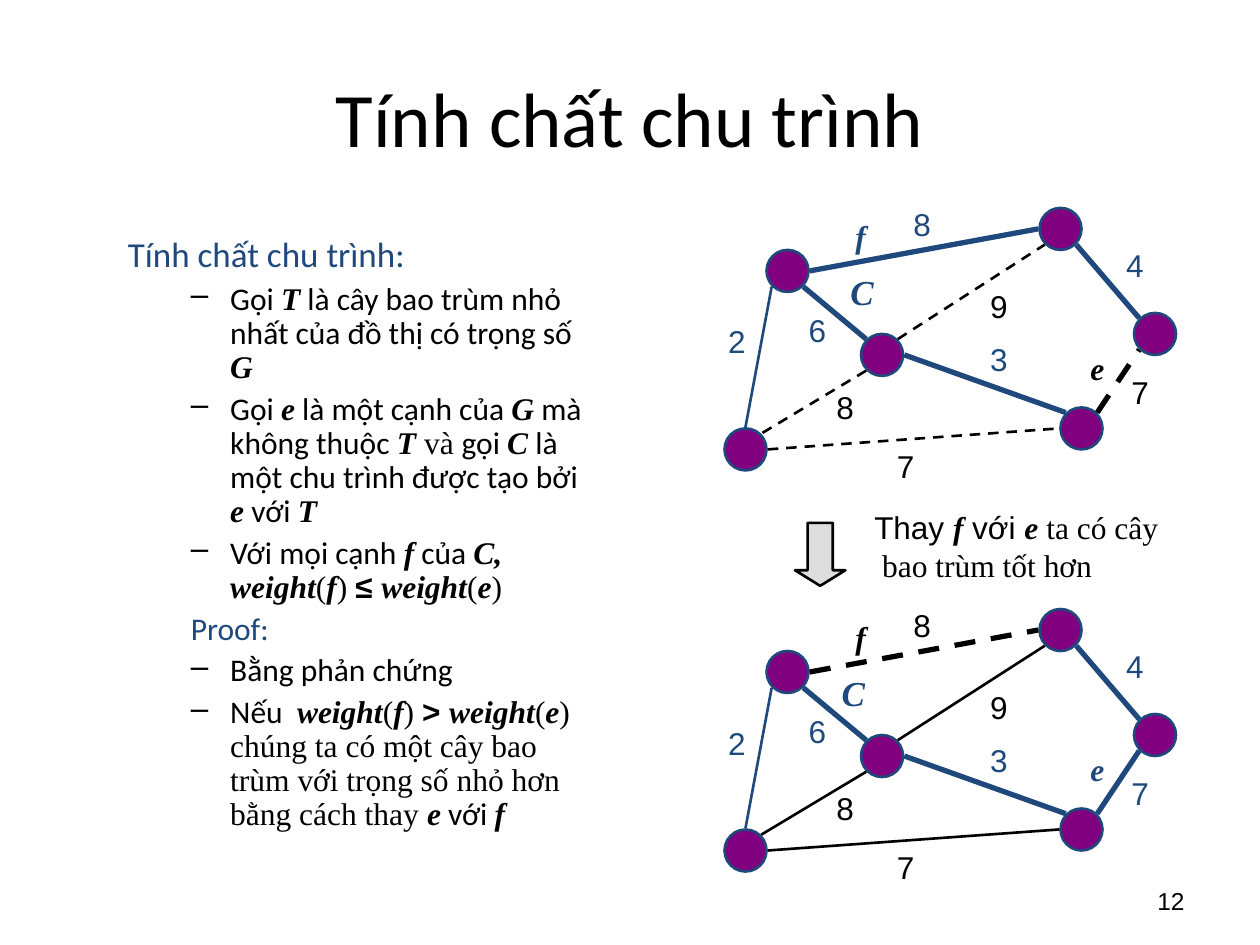
from math import copysign, hypot

from lxml.etree import SubElement
from pptx import Presentation
from pptx.dml.color import RGBColor
from pptx.enum.dml import MSO_LINE
from pptx.enum.shapes import MSO_CONNECTOR, MSO_SHAPE
from pptx.enum.text import MSO_ANCHOR, MSO_AUTO_SIZE, PP_ALIGN
from pptx.oxml.ns import qn
from pptx.util import Pt

BLACK = RGBColor(0x00, 0x00, 0x00)
BLUE = RGBColor(0x1F, 0x49, 0x7D)
PURPLE = RGBColor(0x80, 0x00, 0x80)
GREY = RGBColor(0xDD, 0xDD, 0xDD)

BODY = dict(font="Calibri")
SANS = dict(font="Arial")
ROMAN = dict(font="Times New Roman")
SYMBOL = dict(font="Arial", bold=True)
VARIABLE = dict(font="Times New Roman", bold=True, italic=True)

NODE_SIZE = 24
SITE_RADIUS = 12.75
NODES = {
    "a": (450, 154.8), "b": (606, 130.8), "c": (504, 202.8),
    "d": (426, 256.8), "e": (660, 190.8), "f": (618, 244.8),
}
SIDES = {"E": (1, 0), "W": (-1, 0), "N": (0, -1),
         "NE": (1, -1), "NW": (-1, -1), "SE": (1, 1), "SW": (-1, 1)}
EDGES = {
    "ac": ("SE", "NW", 3, "6", 455, 174.2),
    "cd": ("SW", "NE", 1.5, "8", 470.9, 218.2),
    "ad": ("SW", "N", 1.5, "2", 409, 180.7),
    "cf": ("E", "NW", 3, "3", 558.7, 190.8),
    "df": ("E", "W", 1.5, "7", 505.4, 252),
    "ab": ("E", "W", 3, "8", 514.8, 113.8),
    "cb": ("NE", "SW", 1.5, "9", 558.7, 160.6),
    "eb": ("NW", "SE", 3, "4", 636.5, 136.8),
    "fe": ("NE", "SW", 3, "7", 639.4, 209.5),
}
WEIGHT_F = [("weight", VARIABLE), ("(", ROMAN), ("f", VARIABLE), (") ", ROMAN)]
WEIGHT_E = [("weight", VARIABLE), ("(", ROMAN), ("e", VARIABLE)]
BULLETS = [
    [("Gọi ", BODY), ("T", VARIABLE),
     (" là cây bao trùm nhỏ nhất của đồ thị có trọng số ", BODY), ("G", VARIABLE)],
    [("Gọi ", BODY), ("e", VARIABLE), (" là một cạnh của ", BODY), ("G", VARIABLE),
     (" mà không thuộc ", BODY), ("T ", VARIABLE), ("và ", ROMAN), ("gọi ", BODY),
     ("C", VARIABLE), (" là một chu trình được tạo bởi ", BODY), ("e", VARIABLE),
     (" với ", BODY), ("T", VARIABLE)],
    [("Với mọi cạnh ", BODY), ("f", VARIABLE), (" của ", BODY), ("C, ", VARIABLE),
     *WEIGHT_F, ("≤ ", SYMBOL), *WEIGHT_E, (")", ROMAN)],
]
PROOF_BULLETS = [
    [("Bằng phản chứng", BODY)],
    [("Nếu  ", BODY), *WEIGHT_F, ("> ", SYMBOL), *WEIGHT_E,
     (") chúng ta có một cây bao trùm với trọng số nhỏ hơn bằng cách thay ", ROMAN),
     ("e", VARIABLE), (" với ", BODY), ("f", VARIABLE)],
]


def add_span(para, text, font="Arial", size=18, color=BLACK, bold=False, italic=False):
    """Append one formatted run to a paragraph."""
    span = para.add_run()
    span.text = text
    span.font.name = font
    span.font.size = Pt(size)
    span.font.color.rgb = color
    span.font.bold = bold
    span.font.italic = italic


def add_box(shapes, left, top, width, height, wrap=True, anchor=MSO_ANCHOR.TOP):
    """Add an empty text box and return its text frame."""
    frame = shapes.add_textbox(Pt(left), Pt(top), Pt(width), Pt(height)).text_frame
    frame.word_wrap = wrap
    frame.auto_size = MSO_AUTO_SIZE.NONE
    frame.vertical_anchor = anchor
    return frame


def add_line_of_text(shapes, text, left, top, width, height, align=PP_ALIGN.LEFT,
                     anchor=MSO_ANCHOR.TOP, wrap=True, **style):
    """Add a text box that holds a single run."""
    para = add_box(shapes, left, top, width, height, wrap, anchor).paragraphs[0]
    para.alignment = align
    add_span(para, text, **style)


def add_item(para, spans, margin=58.5, indent=-22.5, before=4.5, bullet=True, **style):
    """Fill a body paragraph with runs, indents and an optional dash bullet."""
    para.line_spacing = 0.9
    para.space_before = Pt(before)
    properties = para._p.get_or_add_pPr()
    properties.set("marL", str(Pt(margin)))
    properties.set("indent", str(Pt(indent)))
    if bullet:
        color = SubElement(properties, qn("a:buClr"))
        SubElement(color, qn("a:srgbClr"), val=str(BLACK))
        SubElement(properties, qn("a:buChar"), char="–")
    for text, format_ in spans:
        add_span(para, text, **format_, **style)


def add_body(shapes):
    """Add the cycle property and its proof."""
    frame = add_box(shapes, 66, 132, 282, 366)
    add_item(frame.paragraphs[0], [("Tính chất chu trình:", BODY)], margin=27,
             indent=-27, before=5, bullet=False, size=20, color=BLUE)
    for spans in BULLETS:
        add_item(frame.add_paragraph(), spans)
    add_item(frame.add_paragraph(), [("Proof:", BODY)], bullet=False, color=BLUE)
    for spans in PROOF_BULLETS:
        add_item(frame.add_paragraph(), spans)


def add_preset(shapes, preset, left, top, width, height, fill, line):
    """Add a flat preset shape with a thin outline."""
    shape = shapes.add_shape(preset, Pt(left), Pt(top), Pt(width), Pt(height))
    shape.shadow.inherit = False
    shape.fill.solid()
    shape.fill.fore_color.rgb = fill
    shape.line.color.rgb = line
    shape.line.width = Pt(1.5)
    return shape


def node_site(node, side, shift):
    """Return the point just outside a node on the given side."""
    x, y = NODES[node]
    across, down = SIDES[side]
    reach = SITE_RADIUS / hypot(across, down)
    return Pt(x + reach * across), Pt(y + shift + reach * down)


def add_edge(shapes, start, end, width, color, dashed):
    """Draw a straight edge between two points."""
    edge = shapes.add_connector(MSO_CONNECTOR.STRAIGHT, *start, *end)
    edge.line.color.rgb = color
    edge.line.width = Pt(width)
    if dashed:
        edge.line.dash_style = MSO_LINE.DASH
    SubElement(edge._element.spPr, qn("a:effectLst"))


def add_graph(page, shift, tree, dashed, cycle_left):
    """Draw the weighted graph with its spanning tree in blue."""
    shapes = page.shapes.add_group_shape().shapes
    colors = {name: BLUE if name in tree else BLACK for name in EDGES}
    for x, y in NODES.values():
        add_preset(shapes, MSO_SHAPE.OVAL, x - NODE_SIZE / 2, y + shift - NODE_SIZE / 2,
                   NODE_SIZE, NODE_SIZE, PURPLE, BLUE)
    for name, (leave, arrive, width, weight, left, top) in EDGES.items():
        add_edge(shapes, node_site(name[0], leave, shift), node_site(name[1], arrive, shift),
                 width, colors[name], name in dashed)
        add_line_of_text(shapes, weight, left, top + shift, 24.5, 29, wrap=False,
                         color=colors[name])
    add_line_of_text(shapes, "e", 616, 196 + shift, 22.3, 29, wrap=False,
                     color=colors["fe"], **VARIABLE)
    add_line_of_text(shapes, "C", cycle_left, 150.8 + shift, 33.8, 31.5, size=20,
                     color=BLUE, **VARIABLE)
    add_line_of_text(shapes, "f", 481.7, 120.5 + shift, 23.8, 29,
                     color=colors["ab"], **VARIABLE)


def add_exchange(shapes):
    """Add the arrow between the graphs and its explanation."""
    arrow = add_preset(shapes, MSO_SHAPE.DOWN_ARROW, 454.3, 298.8, 28.8, 36, GREY, BLACK)
    arrow.adjustments[0] = 0.5
    arrow.adjustments[1] = 0.31
    frame = add_box(shapes, 492.5, 286.6, 176.4, 50.4, wrap=False)
    for text, style in [("Thay ", SANS), ("f", VARIABLE), (" với ", SANS),
                        ("e ", VARIABLE), ("ta có cây", ROMAN)]:
        add_span(frame.paragraphs[0], text, **style)
    add_span(frame.add_paragraph(), " bao trùm tốt hơn", **ROMAN)


def main():
    """Build the slide and save the deck."""
    deck = Presentation()
    deck.slide_width, deck.slide_height = Pt(720), Pt(540)
    page = deck.slides.add_slide(deck.slide_layouts[6])
    add_line_of_text(page.shapes, "12", 516, 500.4, 168, 28.8, align=PP_ALIGN.RIGHT,
                     anchor=MSO_ANCHOR.MIDDLE, size=14)
    add_line_of_text(page.shapes, "Tính chất chu trình", 36, 21.6, 648, 90,
                     align=PP_ALIGN.CENTER, anchor=MSO_ANCHOR.MIDDLE, size=44, **BODY)
    add_body(page.shapes)
    add_graph(page, 0, tree={"ac", "ad", "cf", "ab", "eb"},
              dashed={"cd", "df", "cb", "fe"}, cycle_left=478.8)
    add_graph(page, 229.2, tree={"ac", "ad", "cf", "eb", "fe"},
              dashed={"ab"}, cycle_left=473.8)
    add_exchange(page.shapes)
    deck.save("out.pptx")


if __name__ == "__main__":
    main()
